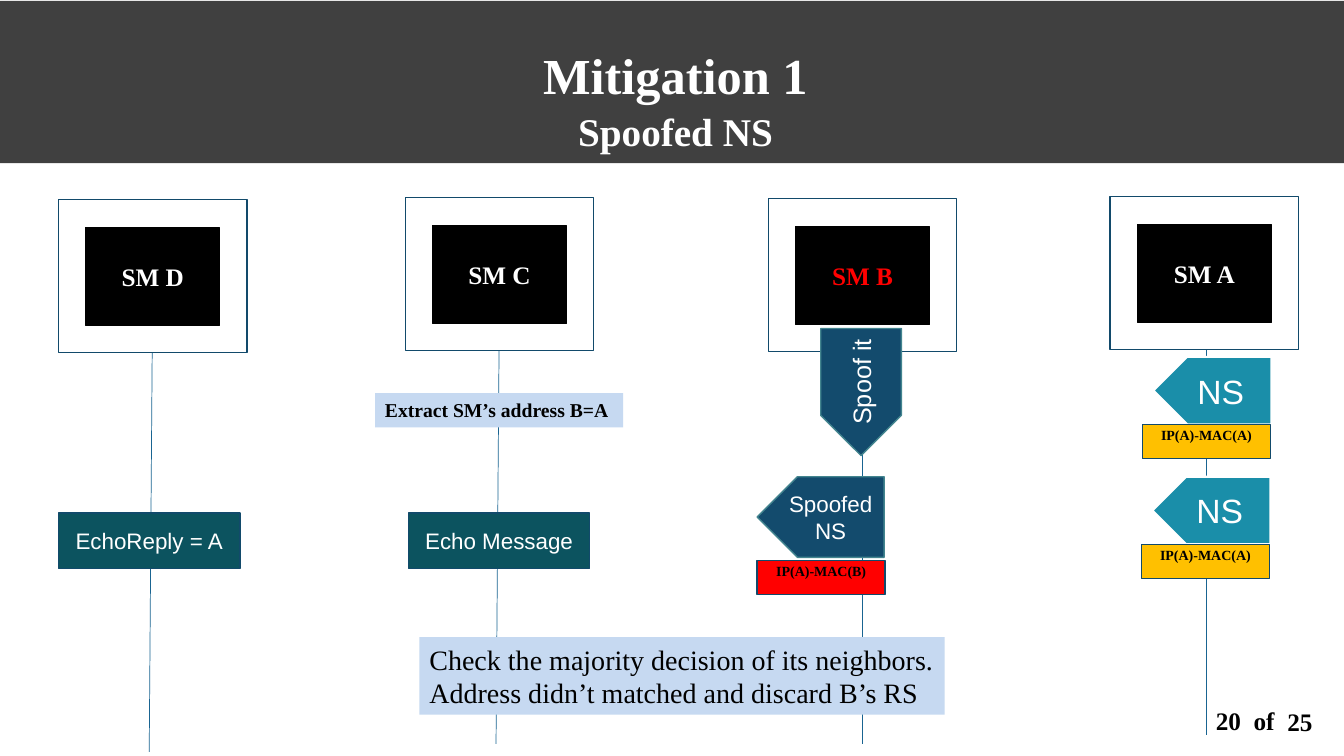
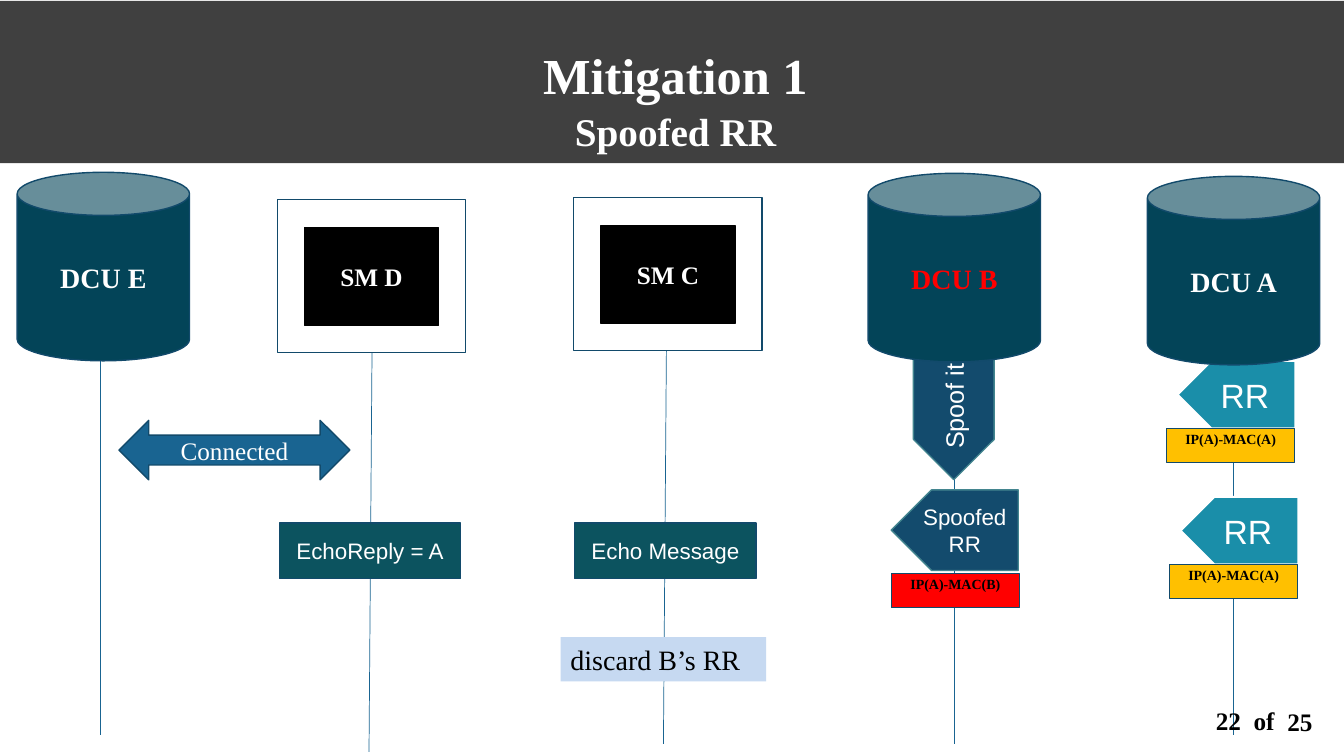
import lxml.etree
import pptx
import pptx.dml.color
import pptx.enum.shapes
import pptx.enum.text
import pptx.oxml.ns
import pptx.util

Inches = pptx.util.Inches
Geometry = pptx.enum.shapes.MSO_SHAPE
Align = pptx.enum.text.PP_ALIGN
Anchor = pptx.enum.text.MSO_ANCHOR


class Theme:
    serif, sans = "Times New Roman", "Arial"
    white, black, red = "FFFFFF", "000000", "FF0000"
    band, outline, lifeline = "404040", "124A6B", "196491"
    attack, attack_outline, message = "134B6D", "43858F", "1A8EA9"
    echo, note, amber, can = "0C535F", "C6D9F1", "FFC000", "034458"
    title, subtitle, packet, large, body, small, note_bold, tiny = 36, 28, 24, 20, 18, 16, 14, 10


def write_text(shape, text, size=Theme.body, color=Theme.white, font=Theme.serif, bold=False,
               align=Align.CENTER, anchor=Anchor.MIDDLE, inset=0.05, line_spacing=None):
    frame = shape.text_frame
    frame.word_wrap = True
    frame.vertical_anchor = anchor
    frame.margin_top = frame.margin_bottom = Inches(inset)
    for index, line in enumerate(text.split("\n")):
        paragraph = frame.add_paragraph() if index else frame.paragraphs[0]
        paragraph.alignment = align
        paragraph.line_spacing = line_spacing
        run = paragraph.add_run()
        run.text = line
        run.font.name, run.font.size, run.font.bold = font, pptx.util.Pt(size), bold
        run.font.color.rgb = pptx.dml.color.RGBColor.from_string(color)


def add_block(slide, geometry, left, top, width, height, fill=None, outline=None,
              outline_width=1, flip=False, rotation=0, text=None, **text_format):
    place = [Inches(value) for value in (left, top, width, height)]
    if geometry is None:
        shape = slide.shapes.add_textbox(*place)
    else:
        shape = slide.shapes.add_shape(geometry, *place)
        shape.shadow.inherit = False
        shape.rotation = rotation
        shape.fill.solid()
        shape.fill.fore_color.rgb = pptx.dml.color.RGBColor.from_string(fill)
        if outline:
            shape.line.color.rgb = pptx.dml.color.RGBColor.from_string(outline)
            shape.line.width = pptx.util.Pt(outline_width)
        else:
            shape.line.fill.background()
        if flip:
            shape.element.spPr.get_or_add_xfrm().set("flipH", "1")
    if text:
        write_text(shape, text, **text_format)


# Content of each slide: lifelines are (top x, bottom x, top, bottom)
slides = [
    dict(
        subtitle="Spoofed NS", number=20, packet="NS",
        lifelines=[(1.52, 1.48, 2.12, 7.46), (8.55, 8.55, 2.13, 7.38),
                   (11.96, 11.96, 2.12, 7.29), (4.96, 4.92, 2.12, 7.38)],
        meters=[("SM D", 0.58, 1.98, Theme.white), ("SM C", 4.02, 1.96, Theme.white),
                ("SM B", 7.62, 1.97, Theme.red), ("SM A", 11.01, 1.95, Theme.white)],
        cans=[], links=[],
        spoof_it=(7.91, 3.49), spoofed=(7.51, 4.73),
        packets=[(11.43, 4.73), (11.44, 3.54)],
        echoes=[("Echo Message", 4.05, 5.09), ("EchoReply = A", 0.58, 5.09)],
        notes=[("Extract SM’s address B=A", 3.72, 3.9, 2.46, 0.34, Theme.note_bold, True),
               ("Check the majority decision of its neighbors.\n"
                "Address didn’t matched and discard B’s RS",
                4.16, 6.32, 5.21, 0.77, Theme.large, False)],
    ),
    dict(
        subtitle="Spoofed RR", number=22, packet="RR",
        lifelines=[(3.7, 3.66, 2.12, 7.46), (9.47, 9.47, 2.13, 7.38),
                   (12.23, 12.23, 2.12, 7.29), (6.62, 6.58, 2.12, 7.38),
                   (1, 1, 2.12, 7.29)],
        meters=[("SM D", 2.75, 1.98, Theme.white), ("SM C", 5.69, 1.96, Theme.white)],
        cans=[("DCU E", 0.17, 1.71, Theme.white), ("DCU B", 8.61, 1.72, Theme.red),
              ("DCU A", 11.38, 1.75, Theme.white)],
        links=[("Connected", 1.18, 4.17)],
        spoof_it=(8.83, 3.73), spoofed=(8.84, 4.86),
        packets=[(11.71, 4.93), (11.68, 3.58)],
        echoes=[("Echo Message", 5.7, 5.19), ("EchoReply = A", 2.77, 5.19)],
        notes=[("discard B’s RR", 5.56, 6.32, 2.04, 0.44, Theme.large, False)],
    ),
]

presentation = pptx.Presentation()
presentation.slide_width, presentation.slide_height = Inches(13.33), Inches(7.5)

for content in slides:
    slide = presentation.slides.add_slide(presentation.slide_layouts[6])

    # Title band
    add_block(slide, Geometry.RECTANGLE, 0, 0.01, 13.33, 1.61, fill=Theme.band)
    for text, top, size in [("Mitigation 1", 0.38, Theme.title),
                            (content["subtitle"], 0.93, Theme.subtitle)]:
        add_block(slide, None, 0.37, top, 12.66, 0.79, text=text, size=size, bold=True,
                  line_spacing=0.9)

    # Lifelines
    for start_x, end_x, top, bottom in content["lifelines"]:
        line = slide.shapes.add_connector(
            pptx.enum.shapes.MSO_CONNECTOR.STRAIGHT,
            Inches(start_x), Inches(top), Inches(end_x), Inches(bottom))
        line.line.color.rgb = pptx.dml.color.RGBColor.from_string(Theme.lifeline)
        line.line.width = pptx.util.Pt(0.5)
        lxml.etree.SubElement(line.element.spPr, pptx.oxml.ns.qn("a:effectLst"))

    # Smart meters: a white frame around a black label
    for name, left, top, color in content["meters"]:
        add_block(slide, Geometry.RECTANGLE, left, top, 1.87, 1.52,
                  fill=Theme.white, outline=Theme.outline)
        add_block(slide, Geometry.RECTANGLE, left + 0.27, top + 0.28, 1.33, 0.97,
                  fill=Theme.black, outline=Theme.black, text=name, color=color, bold=True)

    # Attack and message arrows, the latter with an address label below
    add_block(slide, Geometry.PENTAGON, *content["spoof_it"], 1.26, 0.8, fill=Theme.attack,
              outline=Theme.attack_outline, flip=True, rotation=270,
              text="Spoof it", font=Theme.sans)
    left, top = content["spoofed"]
    add_block(slide, Geometry.PENTAGON, left, top, 1.26, 0.8, fill=Theme.attack,
              outline=Theme.attack_outline, flip=True,
              text=content["subtitle"], size=Theme.small, font=Theme.sans)
    labels = [("IP(A)-MAC(B)", left, top + 0.83, Theme.red)]
    for left, top in content["packets"]:
        add_block(slide, Geometry.PENTAGON, left, top, 1.17, 0.67, fill=Theme.message,
                  outline=Theme.white, outline_width=1.5, flip=True,
                  text=content["packet"], size=Theme.packet, font=Theme.sans)
        labels.append(("IP(A)-MAC(A)", left - 0.11, top + 0.67, Theme.amber))
    for text, left, top, fill in labels:
        add_block(slide, Geometry.RECTANGLE, left, top, 1.27, 0.34, fill=fill,
                  outline=Theme.outline, text=text, size=Theme.tiny, color=Theme.black,
                  bold=True, anchor=Anchor.TOP, inset=0.02)

    # Echo boxes and notes
    for text, left, top in content["echoes"]:
        add_block(slide, Geometry.RECTANGLE, left, top, 1.8, 0.55, fill=Theme.echo,
                  outline=Theme.outline, text=text, size=Theme.small, font=Theme.sans)
    for text, left, top, width, height, size, bold in content["notes"]:
        add_block(slide, Geometry.RECTANGLE, left, top, width, height, fill=Theme.note,
                  text=text, size=size, color=Theme.black, bold=bold,
                  align=Align.JUSTIFY, anchor=Anchor.TOP)

    # Data concentrators and the link between neighbours
    for name, left, top, color in content["cans"]:
        add_block(slide, Geometry.CAN, left, top, 1.71, 1.87, fill=Theme.can,
                  outline=Theme.outline, text=name, size=Theme.large, color=color, bold=True)
    for text, left, top in content["links"]:
        add_block(slide, Geometry.LEFT_RIGHT_ARROW, left, top, 2.29, 0.59,
                  fill=Theme.lifeline, outline=Theme.outline, text=text)

    # Page count
    for text, left, top, width in [("25", 12.67, 6.96, 0.59),
                                   (f"{content['number']}  of", 11.96, 6.95, 0.91)]:
        add_block(slide, None, left, top, width, 0.47, text=text, color=Theme.black,
                  bold=True, align=Align.LEFT, anchor=Anchor.TOP)

presentation.save("out.pptx")
